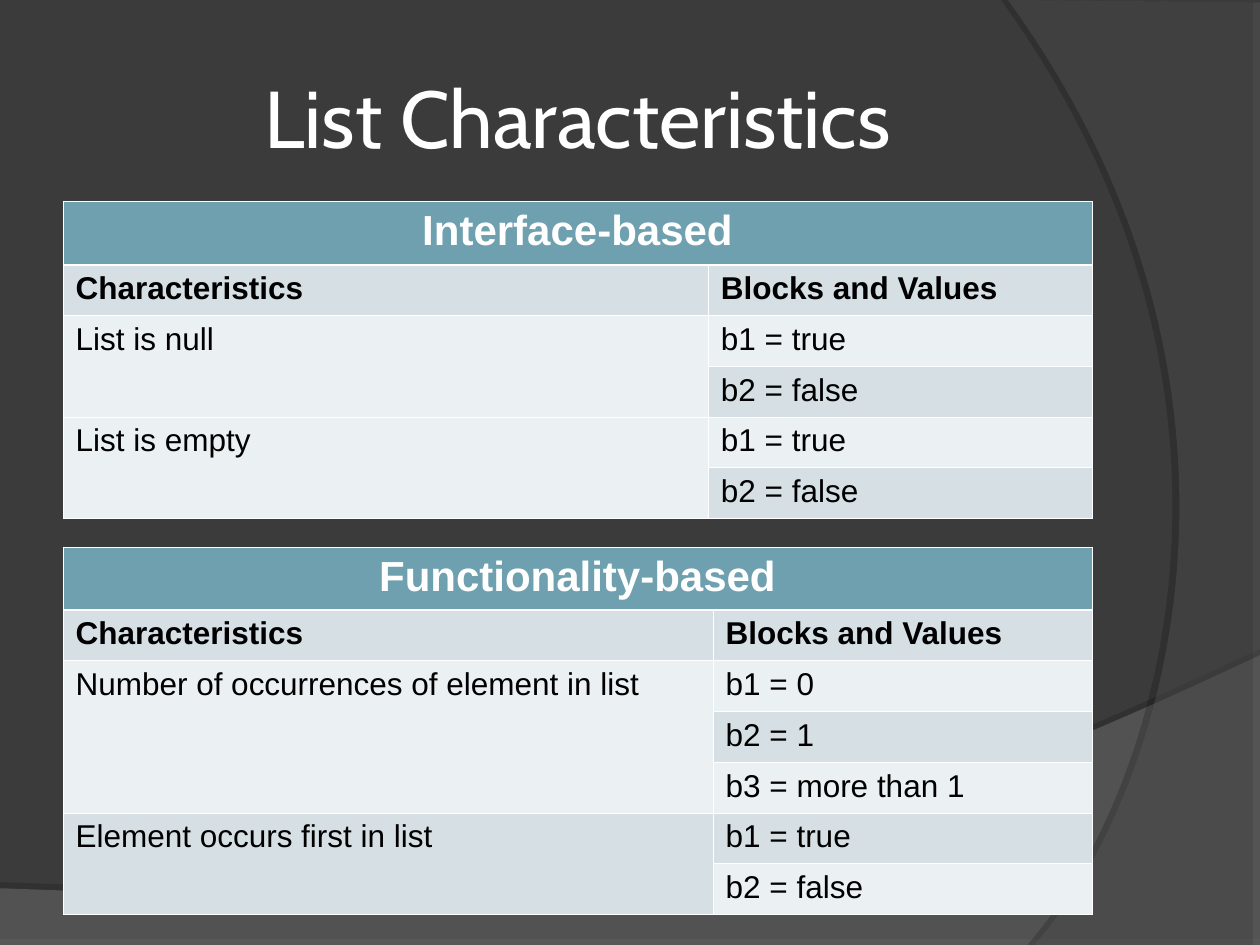
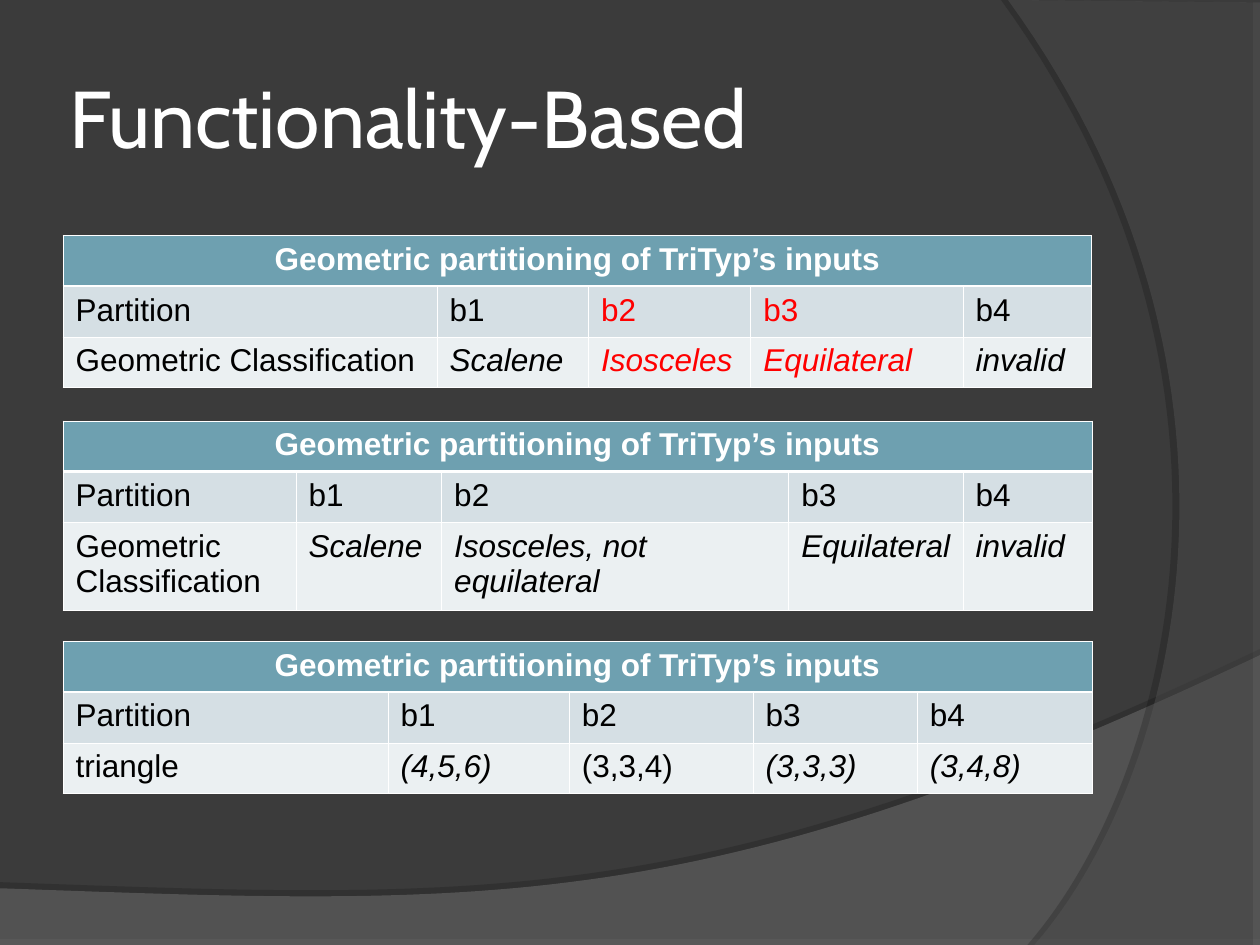
from pptx import Presentation
from pptx.dml.color import RGBColor
from pptx.enum.text import MSO_ANCHOR, PP_ALIGN
from pptx.oxml import parse_xml
from pptx.oxml.ns import nsdecls, qn
from pptx.util import Pt

CENTER, LEFT = PP_ALIGN.CENTER, PP_ALIGN.LEFT
MIDDLE = MSO_ANCHOR.MIDDLE
TITLE_FONT, BODY_FONT = "Cabin", "Arial"
WHITE, BLACK, RED = "FFFFFF", "000000", "FF0000"
BACKGROUND, WAVE, ARC = "3B3B3B", "7C7C7C", "595959"
HEADING_FILL, DARK_BAND, LIGHT_BAND = "6EA0B0", "D5DFE4", "EBF0F2"
MARGIN, CONTENT_WIDTH = 36, 588
ROW_HEIGHT = 29
THIN, THICK = 0.45, 1.47
CURVE_STEPS = 60
PARTITIONING = "Geometric partitioning of TriTyp’s inputs"
PARTITION_ROW = ["Partition", "b1", "b2", "b3", "b4"]


def color(code):
    """Turn a hex string into a colour."""
    return RGBColor.from_string(code)


def style_font(font, name, size, code, bold=False):
    """Set the face, size, colour and weight of a font."""
    font.name, font.size, font.bold = name, Pt(size), bold
    font.color.rgb = color(code)


def curve_points(start, control_1, control_2, end):
    """Return points along a cubic curve."""
    points = []
    for step in range(CURVE_STEPS + 1):
        t = step / CURVE_STEPS
        weights = ((1 - t) ** 3, 3 * t * (1 - t) ** 2, 3 * t * t * (1 - t), t ** 3)
        corners = (start, control_1, control_2, end)
        points.append(tuple(sum(w * corner[axis] for w, corner in zip(weights, corners))
                            for axis in (0, 1)))
    return points


def add_swoosh(slide, points, fill, opacity, shadow_opacity, distance, direction):
    """Draw a translucent outline with a hard-edged shadow."""
    first, *rest = [(Pt(x), Pt(y)) for x, y in points]
    builder = slide.shapes.build_freeform(*first)
    builder.add_line_segments(rest, close=True)
    shape = builder.convert_to_shape()
    shape.fill.solid()
    shape.fill.fore_color.rgb = color(fill)
    shape.line.fill.background()
    shape.shadow.inherit = False
    properties = shape._element.spPr
    properties.find(f"{qn('a:solidFill')}/{qn('a:srgbClr')}").append(
        parse_xml(f'<a:alpha {nsdecls("a")} val="{opacity * 1000}"/>'))
    properties.find(qn("a:effectLst")).append(parse_xml(
        f'<a:outerShdw {nsdecls("a")} blurRad="0" dist="{Pt(distance)}" '
        f'dir="{direction * 60000}" algn="ctr" rotWithShape="0">'
        f'<a:srgbClr val="{BLACK}"><a:alpha val="{shadow_opacity * 1000}"/></a:srgbClr>'
        f'</a:outerShdw>'))


def add_title(slide, text, alignment):
    """Write the slide title."""
    box = slide.shapes.add_textbox(Pt(MARGIN), Pt(21.6), Pt(CONTENT_WIDTH), Pt(90))
    frame = box.text_frame
    frame.word_wrap = True
    frame.vertical_anchor = MIDDLE
    frame.margin_left = frame.margin_right = Pt(3.6)
    frame.margin_top = frame.margin_bottom = Pt(3.6)
    para = frame.paragraphs[0]
    para.text, para.alignment = text, alignment
    style_font(para.font, TITLE_FONT, 46, WHITE)


def start_slide(deck, title, alignment=LEFT):
    """Add a slide with the background, the two swooshes and a title."""
    slide = deck.slides.add_slide(deck.slide_layouts[6])
    slide.background.fill.solid()
    slide.background.fill.fore_color.rgb = color(BACKGROUND)
    wave = curve_points((720, 374.4), (402.5, 524.9), (281.5, 517.7), (0, 507.6))
    add_swoosh(slide, [(0, 540), (720, 540)] + wave, WAVE, 45, 35, 3.5, 270)
    arc = curve_points((591.1, 540), (673.2, 445.7), (733, 216), (576, 0))
    add_swoosh(slide, [(720, 1.4), (720, 540)] + arc, ARC, 40, 45, 4, 180)
    add_title(slide, title, alignment)
    return slide


def set_borders(cell, top, bottom):
    """Draw white lines round a cell."""
    properties = cell._tc.get_or_add_tcPr()
    for side, width in (("L", THIN), ("R", THIN), ("T", top), ("B", bottom)):
        properties.append(parse_xml(
            f'<a:ln{side} {nsdecls("a")} w="{Pt(width)}"><a:solidFill>'
            f'<a:srgbClr val="{WHITE}"/></a:solidFill></a:ln{side}>'))


def fill_cell(cell, row, text, size):
    """Style and fill one cell by its row number."""
    set_borders(cell, THICK if row == 1 else THIN, THICK if row == 0 else THIN)
    cell.fill.solid()
    band = DARK_BAND if row % 2 else LIGHT_BAND
    cell.fill.fore_color.rgb = color(band if row else HEADING_FILL)
    para = cell.text_frame.paragraphs[0]
    para.text = text
    para.alignment = LEFT if row else CENTER
    style_font(para.font, BODY_FONT, size, BLACK if row else WHITE, bold=row == 0)


def add_grid(slide, top, first_widths, heading, rows, heading_size=18,
             heading_height=ROW_HEIGHT, last_height=ROW_HEIGHT):
    """Add a banded table under a heading that spans it."""
    widths = first_widths + [CONTENT_WIDTH - sum(first_widths)]
    heights = [heading_height] + [ROW_HEIGHT] * (len(rows) - 1) + [last_height]
    table = slide.shapes.add_table(len(heights), len(widths), Pt(MARGIN), Pt(top),
                                   Pt(CONTENT_WIDTH), Pt(sum(heights))).table
    table.first_row = table.horz_banding = False
    for column, width in zip(table.columns, widths):
        column.width = Pt(width)
    texts = [[heading] + [""] * (len(widths) - 1)] + rows
    for number, (row, height, line) in enumerate(zip(table.rows, heights, texts)):
        row.height = Pt(height)
        for cell, text in zip(row.cells, line):
            fill_cell(cell, number, text, 18 if number else heading_size)
    table.cell(0, 0).merge(table.cell(0, len(widths) - 1))
    return table


def restyle(cells, bold=None, italic=None, code=None):
    """Change the weight, slant or colour of the text in some cells."""
    for cell in cells:
        font = cell.text_frame.paragraphs[0].font
        if bold is not None:
            font.bold = bold
        if italic is not None:
            font.italic = italic
        if code:
            font.color.rgb = color(code)


def add_characteristics(slide, top, first_width, heading, characteristics):
    """Add a table of characteristics, each spanning its blocks."""
    rows = [["Characteristics", "Blocks and Values"]]
    spans = []
    for name, values in characteristics:
        spans.append((len(rows) + 1, len(rows) + len(values)))
        for index, value in enumerate(values):
            rows.append(["" if index else name, f"b{index + 1} = {value}"])
    table = add_grid(slide, top, [first_width], heading, rows, 24, 36)
    restyle(table.rows[1].cells, bold=True)
    for first, last in spans:
        table.cell(first, 0).merge(table.cell(last, 0))


def add_partitioning(slide, top, first_widths, name, blocks, last_height=ROW_HEIGHT):
    """Add a table that names the blocks of one partition."""
    table = add_grid(slide, top, first_widths, PARTITIONING,
                     [PARTITION_ROW, [name] + blocks], last_height=last_height)
    restyle(list(table.rows[2].cells)[1:], italic=True)
    return table


def build_list_slide(deck):
    """Show the interface and functionality characteristics of a list."""
    slide = start_slide(deck, "List Characteristics", CENTER)
    truth = ["true", "false"]
    add_characteristics(slide, 115.2, 368.8, "Interface-based",
                        [("List is null", truth), ("List is empty", truth)])
    add_characteristics(slide, 312.5, 371.5, "Functionality-based",
                        [("Number of occurrences of element in list",
                          ["0", "1", "more than 1"]),
                         ("Element occurs first in list", truth)])


def build_triangle_slide(deck):
    """Show three partitionings of the triangle inputs."""
    slide = start_slide(deck, "Functionality-Based")
    overlapping = add_partitioning(
        slide, 134.6, [213.7, 86.6, 92.8, 121.2], "Geometric Classification",
        ["Scalene", "Isosceles", "Equilateral", "invalid"])
    restyle([overlapping.cell(row, column) for row in (1, 2) for column in (2, 3)],
            code=RED)
    add_partitioning(
        slide, 240.5, [133.2, 83.2, 198.4, 99.5], "Geometric Classification",
        ["Scalene", "Isosceles, not equilateral", "Equilateral", "invalid"], 50.4)
    examples = add_partitioning(
        slide, 366.5, [185.8, 103.5, 105.1, 93.8], "triangle",
        ["(4,5,6)", "(3,3,4)", "(3,3,3)", "(3,4,8)"])
    restyle([examples.cell(2, 2)], italic=False)


def main():
    """Build and save the deck."""
    deck = Presentation()
    deck.slide_width, deck.slide_height = Pt(720), Pt(540)
    build_list_slide(deck)
    build_triangle_slide(deck)
    deck.save("out.pptx")


if __name__ == "__main__":
    main()
